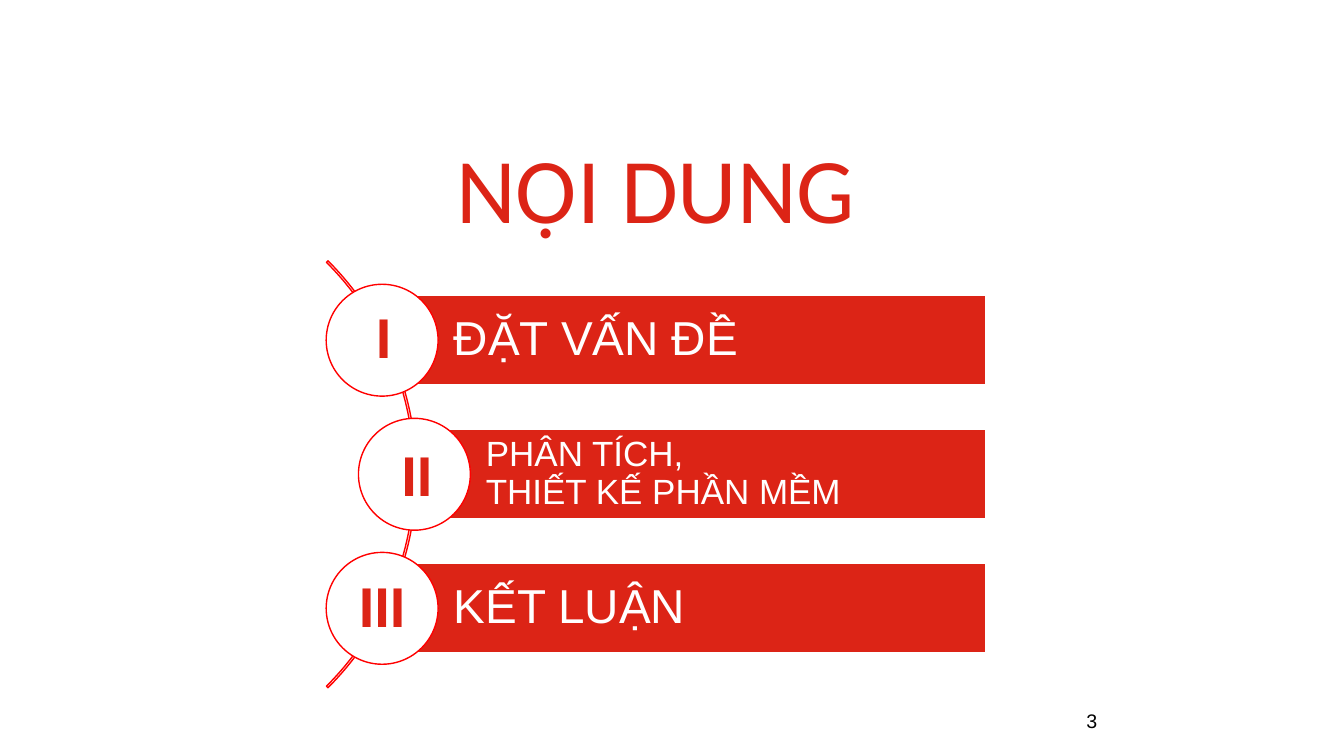
from pptx import Presentation
from pptx.dml.color import RGBColor
from pptx.enum.shapes import MSO_SHAPE
from pptx.enum.text import MSO_ANCHOR, PP_ALIGN
from pptx.util import Inches, Pt

BLOCK_ARC, BAR, CIRCLE = MSO_SHAPE.BLOCK_ARC, MSO_SHAPE.RECTANGLE, MSO_SHAPE.OVAL
LEFT, CENTER, RIGHT = PP_ALIGN.LEFT, PP_ALIGN.CENTER, PP_ALIGN.RIGHT
TOP, MIDDLE = MSO_ANCHOR.TOP, MSO_ANCHOR.MIDDLE
TITLE_ONLY = 5

RED, OUTLINE, WHITE, BLACK = "DC2416", "FF0000", "FFFFFF", "000000"

BAR_RIGHT, BAR_HEIGHT = 9.78, 0.89
CIRCLE_SIZE = 1.11
FIRST_CENTER, ROW_PITCH = 3.375, 1.33

# Numeral, its box (left, top, width), circle centre x, text, text size
SECTIONS = [
    ("I", (3.63, 2.95, 0.3), 3.79, "ĐẶT VẤN ĐỀ", 34),
    ("II", (3.83, 4.32, 0.61), 4.11, "PHÂN TÍCH,\nTHIẾT KẾ PHẦN MỀM", 25),
    ("III", (3.44, 5.62, 0.7), 3.79, "KẾT LUẬN", 34),
]


def color(hex_value):
    return RGBColor.from_string(hex_value)


class AgendaSlide:
    """Holds the current slide and its text style."""

    font = "Arial"

    def __init__(self, presentation):
        self.slide = presentation.slides.add_slide(presentation.slide_layouts[TITLE_ONLY])

    def set_text(self, shape, text, size, hex_value, align=LEFT, anchor=MIDDLE,
                 margins=(0.1, 0.05, 0.1, 0.05), spacing=1.0, bold=False, font=None, wrap=True):
        frame = shape.text_frame
        frame.text = text
        frame.word_wrap = wrap
        frame.vertical_anchor = anchor
        (frame.margin_left, frame.margin_top,
         frame.margin_right, frame.margin_bottom) = map(Inches, margins)
        for paragraph in frame.paragraphs:
            paragraph.alignment = align
            paragraph.line_spacing = spacing
            for run in paragraph.runs:
                run.font.name = font or self.font
                run.font.size = Pt(size)
                run.font.bold = bold
                run.font.color.rgb = color(hex_value)

    def title(self, text, box):
        shape = self.slide.shapes.title
        shape.left, shape.top, shape.width, shape.height = map(Inches, box)
        self.set_text(shape, text, 66, RED, CENTER, spacing=0.9, font="Calibri")

    def shape(self, kind, box, line, fill=None):
        shape = self.slide.shapes.add_shape(kind, *map(Inches, box))
        shape.shadow.inherit = False
        if fill:
            shape.fill.solid()
            shape.fill.fore_color.rgb = color(fill)
        else:
            shape.fill.background()
        shape.line.color.rgb = color(line)
        shape.line.width = Pt(1)
        return shape

    def text(self, text, box, size, hex_value, **style):
        shape = self.slide.shapes.add_textbox(*map(Inches, box))
        self.set_text(shape, text, size, hex_value, **style)

    def arc(self, box):
        arc = self.shape(BLOCK_ARC, box, OUTLINE)
        # Start and end angles (315° and 45°), then the thickness
        for index, value in enumerate((189, 27, 0.0036)):
            arc.adjustments[index] = value

    def section(self, center_x, center_y, text, size):
        """Draw a labelled bar starting at the centre of its circle."""
        bar_box = (center_x, center_y - BAR_HEIGHT / 2, BAR_RIGHT - center_x, BAR_HEIGHT)
        bar = self.shape(BAR, bar_box, WHITE, RED)
        self.set_text(bar, text, size, WHITE, margins=(0.71, 0.09, 0.09, 0.09), spacing=0.9)
        radius = CIRCLE_SIZE / 2
        circle_box = (center_x - radius, center_y - radius, CIRCLE_SIZE, CIRCLE_SIZE)
        self.shape(CIRCLE, circle_box, OUTLINE, WHITE)


def main():
    presentation = Presentation()
    presentation.slide_width, presentation.slide_height = Inches(13.33), Inches(7.5)

    agenda = AgendaSlide(presentation)
    agenda.title("NỘI DUNG", (4.23, 1.24, 4.55, 1.37))
    agenda.arc((-1.86, 1.71, 5.99, 5.99))
    for row, (numeral, place, center_x, text, size) in enumerate(SECTIONS):
        agenda.section(center_x, FIRST_CENTER + row * ROW_PITCH, text, size)
        agenda.text(numeral, (*place, 0.77), 40, RED,
                    align=CENTER, anchor=TOP, bold=True, wrap=False)
    agenda.text("3", (8.73, 6.95, 2.25, 0.4), 14, BLACK, align=RIGHT)

    presentation.save("out.pptx")


if __name__ == "__main__":
    main()
